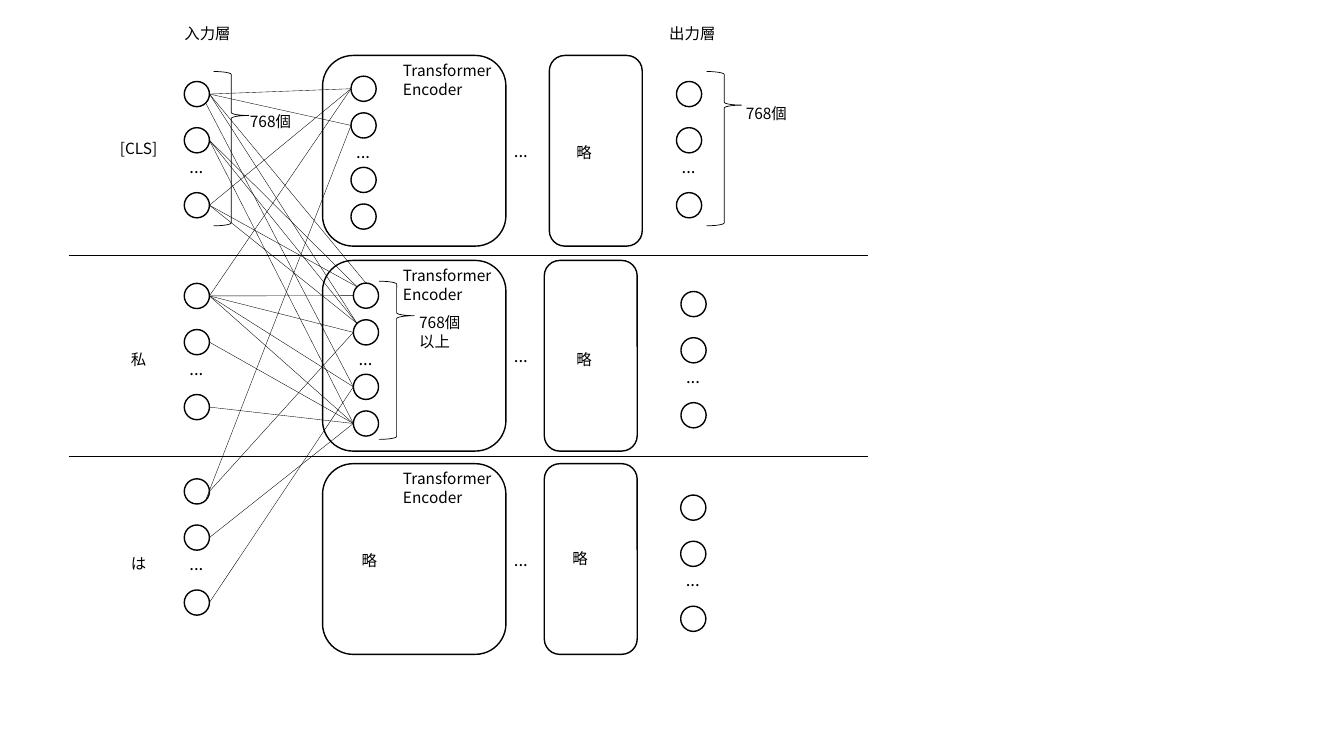
from dataclasses import dataclass
from lxml import etree
from pptx import Presentation
from pptx.dml.color import RGBColor
from pptx.enum.shapes import MSO_CONNECTOR, MSO_SHAPE
from pptx.enum.text import MSO_AUTO_SIZE, PP_ALIGN
from pptx.oxml.ns import qn
from pptx.util import Pt

OVAL = MSO_SHAPE.OVAL
ROUND = MSO_SHAPE.ROUNDED_RECTANGLE
BRACE = MSO_SHAPE.RIGHT_BRACE
STRAIGHT = MSO_CONNECTOR.STRAIGHT
GROW = MSO_AUTO_SIZE.SHAPE_TO_FIT_TEXT
LEFT, CENTER = PP_ALIGN.LEFT, PP_ALIGN.CENTER


@dataclass(frozen=True)
class Theme:
    ink: RGBColor = RGBColor(0, 0, 0)
    paper: RGBColor = RGBColor(255, 255, 255)
    font: str = "Noto Sans CJK JP"
    body: float = 11
    dots: float = 12
    bold: float = 1
    rule: float = 0.5
    hair: float = 0.25


THEME = Theme()
NODE = 18
SIDES = {"left": (0, 0.5), "right": (1, 0.5), "top": (0.5, 0),
         "upper": (0.15, 0.15), "lower": (0.85, 0.85)}
LAYER = ((0, 33, 79.4), 50)
HIDDEN = ((0, 26.2, 65.1, 91.3), 43.2)

ROWS = [
    {"top": 39.6, "word": "[CLS]", "word_y": 56.2, "in_y": 18.6,
     "out": (483.2, 18.6), "hidden": (250.7, 14.8),
     "mini_x": 392.4, "skip": (404.6, 59)},
    {"top": 186, "word": "私", "word_y": 60.2, "in_y": 16.4,
     "out": (486.4, 22.2), "hidden": (252.4, 16.2),
     "mini_x": 388.8, "skip": (404.6, 60.2)},
    {"top": 331.2, "word": "は", "word_y": 61.2, "in_y": 10.8,
     "out": (486.2, 22.4), "hidden": None,
     "mini_x": 388.8, "skip": (401.8, 57.6)},
]

LINKS = [
    (0, 0, 0, 0, "right", "left"),
    (0, 0, 0, 1, "right", "left"),
    (0, 2, 0, 0, "right", "left"),
    (1, 0, 0, 0, "right", "left"),
    (2, 0, 0, 1, "lower", "left"),
    (0, 0, 1, 0, "right", "top"),
    (0, 1, 1, 0, "right", "upper"),
    (0, 2, 1, 0, "right", "upper"),
    (0, 0, 1, 1, "right", "upper"),
    (0, 1, 1, 1, "right", "upper"),
    (0, 2, 1, 1, "right", "upper"),
    (0, 0, 1, 2, "lower", "left"),
    (0, 1, 1, 3, "right", "left"),
    (1, 0, 1, 0, "right", "left"),
    (1, 0, 1, 1, "right", "left"),
    (1, 0, 1, 2, "right", "left"),
    (1, 0, 1, 3, "right", "left"),
    (1, 1, 1, 3, "right", "left"),
    (1, 2, 1, 3, "right", "left"),
    (2, 0, 1, 1, "right", "left"),
    (2, 1, 1, 3, "right", "left"),
    (2, 2, 1, 2, "right", "left"),
]


def style(item, values):
    for name, value in values.items():
        setattr(item, name, value)


def add_text(slide, box, text, align=LEFT, size=THEME.body):
    frame = slide.shapes.add_textbox(*map(Pt, box)).text_frame
    style(frame, {"word_wrap": True, "auto_size": GROW})
    para = frame.paragraphs[0]
    para.alignment = align
    run = para.add_run()
    run.text = text
    style(run.font, {"name": THEME.font, "size": Pt(size)})
    run.font.color.rgb = THEME.ink
    east = etree.SubElement(run.font._element, qn("a:ea"))
    east.set("typeface", THEME.font)


def add_dots(slide, left, top):
    add_text(slide, (left, top, 25.2, 21.6), "...", size=THEME.dots)


def add_form(slide, kind, box, width=THEME.bold, fill=None):
    form = slide.shapes.add_shape(kind, *map(Pt, box))
    form.shadow.inherit = False
    if fill is None:
        form.fill.background()
    else:
        form.fill.solid()
        form.fill.fore_color.rgb = fill
    form.line.color.rgb = THEME.ink
    form.line.width = Pt(width)
    return form


def add_line(slide, start, end, width):
    line = slide.shapes.add_connector(STRAIGHT, *map(Pt, (*start, *end)))
    line.line.color.rgb = THEME.ink
    line.line.width = Pt(width)
    etree.SubElement(line._element.spPr, qn("a:effectLst"))


def add_brace(slide, box, point):
    brace = add_form(slide, BRACE, box, THEME.rule)
    brace.adjustments[0] = 0.083
    brace.adjustments[1] = point


def add_nodes(slide, left, top, plan):
    steps, gap = plan
    spots = [(left, top + step) for step in steps]
    for spot in spots:
        add_form(slide, OVAL, (*spot, NODE, NODE), fill=THEME.paper)
    add_dots(slide, left - 3.4, top + gap)
    return spots


def add_row(slide, row):
    top = row["top"]
    add_text(slide, (75.6, top + row["word_y"], 46.8, 20.9), row["word"], CENTER)
    inputs = add_nodes(slide, 131.6, top + row["in_y"], LAYER)
    add_form(slide, ROUND, (230.4, top, 131, 136.2))
    add_text(slide, (280.8, top + 0.7, 86.4, 33.8), "Transformer Encoder")
    hidden = []
    if row["hidden"]:
        left, down = row["hidden"]
        hidden = add_nodes(slide, left, top + down, HIDDEN)
    else:
        add_text(slide, (251.3, top + 59, 41, 20.9), "略")
    add_dots(slide, 360, top + 57.6)
    add_form(slide, ROUND, (row["mini_x"], top, 66.4, 136.2))
    left, down = row["skip"]
    add_text(slide, (left, top + down, 41, 20.9), "略")
    left, down = row["out"]
    add_nodes(slide, left, top + down, LAYER)
    return inputs, hidden


def add_links(slide, inputs, hidden):
    for row, node, goal, unit, begin, finish in LINKS:
        ends = []
        for spot, side in ((inputs[row][node], begin), (hidden[goal][unit], finish)):
            ends.append([at + NODE * part for at, part in zip(spot, SIDES[side])])
        add_line(slide, *ends, THEME.hair)


def add_counts(slide):
    for box, point, note, text in [
        ((152.6, 51.1, 25.2, 110.2), 0.285, (171.4, 76.3, 61.2, 20.9), "768個"),
        ((270.7, 200.9, 25.2, 113), 0.218, (292.3, 220.3, 46.8, 33.8), "768個以上"),
        ((504.7, 51.1, 25.2, 110.2), 0.218, (525.6, 70.6, 61.2, 20.9), "768個"),
    ]:
        add_brace(slide, box, point)
        add_text(slide, note, text)


def add_network(slide):
    for left, text in ((105.1, "入力層"), (451.4, "出力層")):
        add_text(slide, (left, 13.7, 86.4, 20.9), text, CENTER)
    inputs, hidden = zip(*(add_row(slide, row) for row in ROWS))
    add_links(slide, inputs, hidden)
    for level in (182.2, 326.2):
        add_line(slide, (49, level), (619.9, level), THEME.rule)
    add_counts(slide)


def main():
    deck = Presentation()
    style(deck, {"slide_width": Pt(960), "slide_height": Pt(540)})
    add_network(deck.slides.add_slide(deck.slide_layouts[6]))
    deck.save("out.pptx")


if __name__ == "__main__":
    main()
